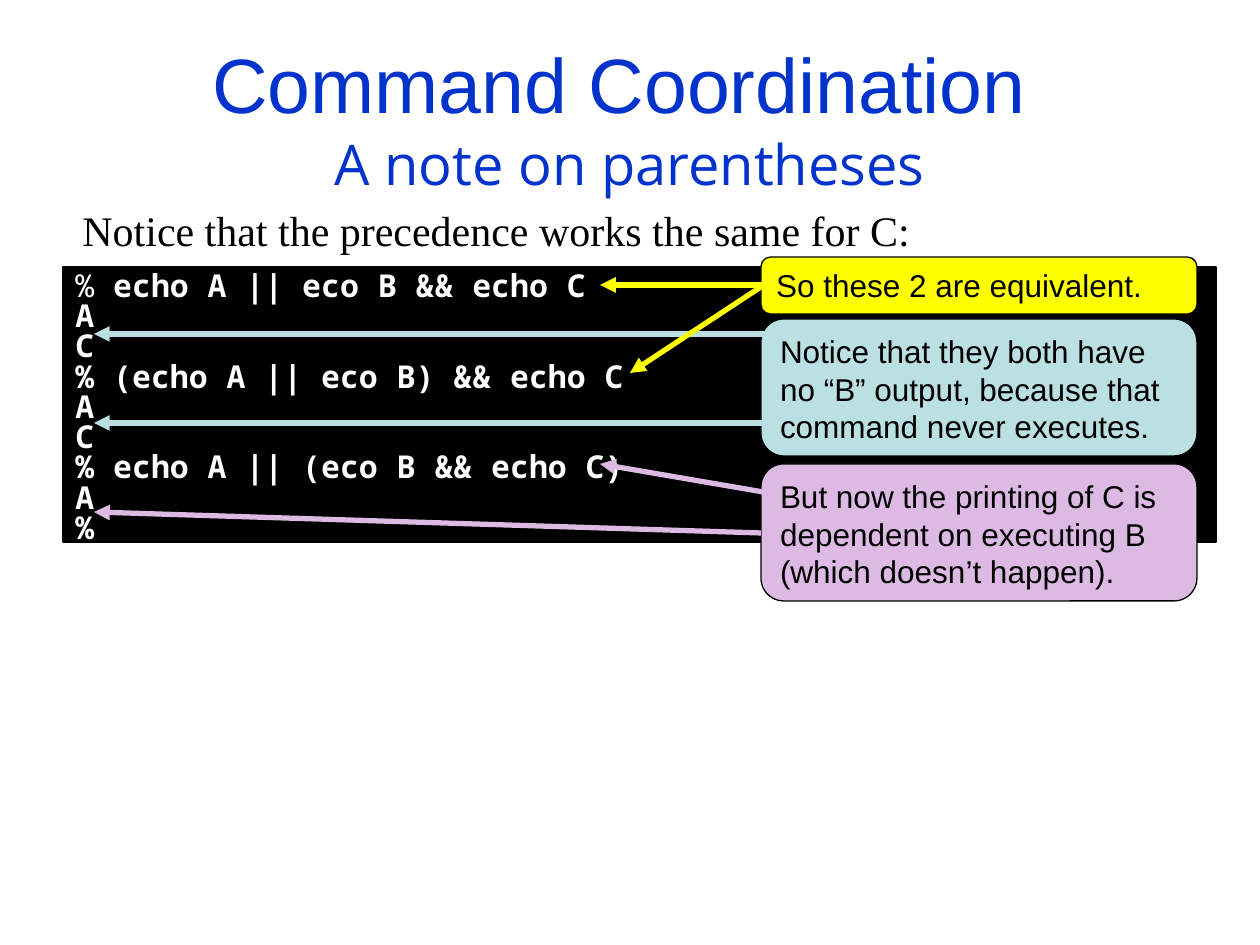
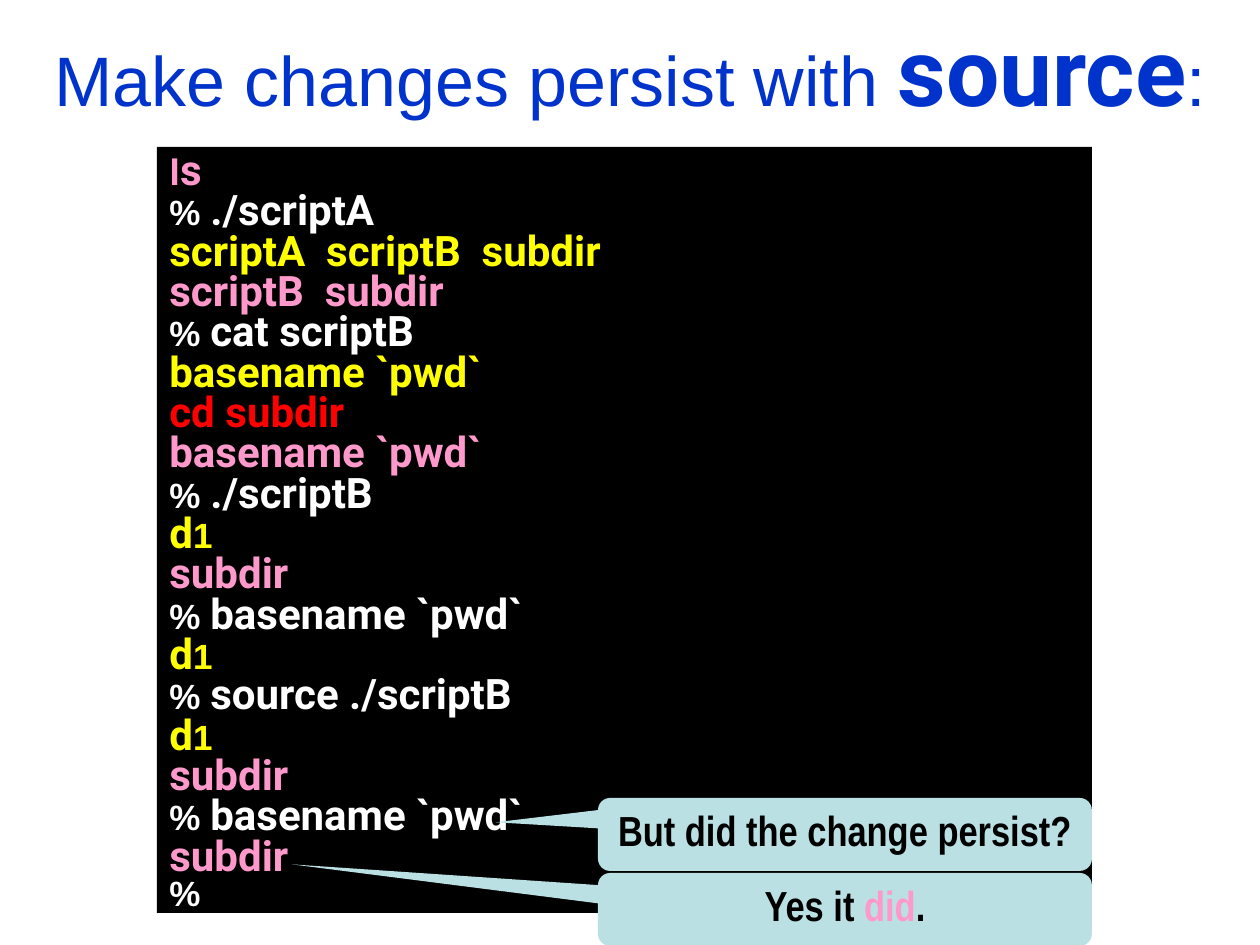
import pptx
import pptx.dml.color
import pptx.enum.shapes
import pptx.enum.text
import pptx.oxml.ns
import pptx.util
import lxml.etree

PX = 914400 // 126
COLORS = {
    "title": "0033CC", "black": "000000", "white": "FFFFFF", "yellow": "FFFF00",
    "pink": "FF99CC", "red": "FF0000", "aqua": "BBE0E3", "lilac": "DDBAE4",
}
SHAPE = pptx.enum.shapes.MSO_SHAPE
ANCHOR = pptx.enum.text.MSO_ANCHOR
LEFT = pptx.enum.text.PP_ALIGN.LEFT
CENTER = pptx.enum.text.PP_ALIGN.CENTER


def rgb(name):
    return pptx.dml.color.RGBColor.from_string(COLORS[name])


def add_box(page, kind, place, fill, lines, spacing=1.0, align=LEFT,
            anchor=ANCHOR.TOP, border=False):
    """Each line is a list of spans: (text, size, font, colour, bold)."""
    place = [value * PX for value in place]
    if kind is None:
        box = page.shapes.add_textbox(*place)
    else:
        box = page.shapes.add_shape(kind, *place)
        box.shadow.inherit = False
        box.fill.solid()
        box.fill.fore_color.rgb = rgb(fill)
        if border:
            box.line.color.rgb = rgb("black")
            box.line.width = pptx.util.Pt(0.75)
        else:
            box.line.fill.background()
    frame = box.text_frame
    frame.word_wrap = True
    frame.vertical_anchor = anchor
    for index, spans in enumerate(lines):
        para = frame.add_paragraph() if index else frame.paragraphs[0]
        para.alignment = align
        para.line_spacing = spacing
        for text, size, font, color, bold in spans:
            span = para.add_run()
            span.text = text
            span.font.size = pptx.util.Pt(size)
            span.font.name = font
            span.font.color.rgb = rgb(color)
            span.font.bold = bold
    return box


deck = pptx.Presentation()
deck.slide_width = 1260 * PX
deck.slide_height = 945 * PX
blank = deck.slide_layouts[6]

# Slide 1: command coordination
page = deck.slides.add_slide(blank)
add_box(page, None, (63, 38, 1134, 157), None, [
    [("Command Coordination ", 44, "Arial", "title", False)],
    [("A note on parentheses", 32, "Open Sans", "title", False)],
], align=CENTER, anchor=ANCHOR.MIDDLE)
intro = add_box(page, None, (70, 204, 1190, 53), None, [
    [("Notice that the precedence works the same for C:",
      24, "Times New Roman", "black", False)],
], spacing=0.9)
intro.text_frame.paragraphs[0].space_before = pptx.util.Pt(4)

# Terminal: only the very first prompt is not bold
terminal_lines = [
    "% echo A || eco B && echo C", "A", "C",
    "% (echo A || eco B) && echo C", "A", "C",
    "% echo A || (eco B && echo C)", "A", "%",
]
terminal = [[(line, 18, "Noto Sans Mono", "white", True)] for line in terminal_lines]
terminal[0] = [("%", 18, "Noto Sans Mono", "white", False),
               (terminal_lines[0][1:], 18, "Noto Sans Mono", "white", True)]
add_box(page, SHAPE.RECTANGLE, (63, 267, 1153, 275), "black", terminal,
        spacing=0.8, border=True)

# Remarks with their arrows: colour, top, height, text, arrows (from x, y to x, y)
remarks = [
    ("lilac", 464, 137,
     "But now the printing of C is dependent on executing B (which doesn’t happen).",
     [(761, 533, 94, 512), (775, 494, 600, 464)]),
    ("aqua", 319, 137,
     "Notice that they both have no “B” output, because that command never executes.",
     [(775, 423, 94, 423), (775, 334, 94, 334)]),
    ("yellow", 257, 57, "So these 2 are equivalent.",
     [(770, 281, 630, 373), (764, 285, 600, 285)]),
]
for color, top, height, text, arrows in remarks:
    add_box(page, SHAPE.FLOWCHART_ALTERNATE_PROCESS, (761, top, 436, height), color,
            [[(text, 18, "Arial", "black", False)]], border=True)
    for ends in arrows:
        arrow = page.shapes.add_connector(
            pptx.enum.shapes.MSO_CONNECTOR.STRAIGHT, *[value * PX for value in ends])
        arrow.line.color.rgb = rgb(color)
        arrow.line.width = pptx.util.Pt(3)
        outline = arrow.line._get_or_add_ln()
        lxml.etree.SubElement(outline, pptx.oxml.ns.qn("a:tailEnd"), type="triangle")
        lxml.etree.SubElement(arrow._element.spPr, pptx.oxml.ns.qn("a:effectLst"))

# Slide 2: source
page = deck.slides.add_slide(blank)
faces = {"code": (24, "Roboto"), "small": (20, "Arial"), "open": (20, "Open Sans")}
prompt = ("% ", "small")
digit = ("1", "small")
session = [
    ("pink", [("l", "open"), ("s", "code")]),
    ("white", [prompt, ("./scriptA", "code")]),
    ("yellow", [("scriptA  scriptB  subdir", "code")]),
    ("pink", [("scriptB  subdir", "code")]),
    ("white", [prompt, ("cat scriptB", "code")]),
    ("yellow", [("basename `pwd`", "code")]),
    ("red", [("cd subdir", "code")]),
    ("pink", [("basename `pwd`", "code")]),
    ("white", [prompt, ("./scriptB", "code")]),
    ("yellow", [("d", "code"), digit]),
    ("pink", [("subdir", "code")]),
    ("white", [prompt, ("basename `pwd`", "code")]),
    ("yellow", [("d", "code"), digit]),
    ("white", [prompt, ("source ./scriptB", "code")]),
    ("yellow", [("d", "code"), digit]),
    ("pink", [("subdir", "code")]),
    ("white", [prompt, ("basename `pwd`", "code")]),
    ("pink", [("subdir", "code")]),
    ("white", [("%", "small")]),
]
terminal = [[(text, *faces[face], color, True) for text, face in spans]
            for color, spans in session]
box = add_box(page, SHAPE.RECTANGLE, (157, 147, 935, 766), "black", terminal, spacing=0.8)
box.text_frame.margin_bottom = 0

add_box(page, None, (0, 21, 1260, 95), None, [[
    ("Make changes persist with ", 40, "Arial", "title", False),
    ("source", 54, "Roboto", "title", True),
    (":", 40, "Arial", "title", False),
]], align=CENTER, anchor=ANCHOR.MIDDLE)

# Callouts: top, pointer tip, coloured words
callouts = [
    (798, (-0.707, -0.166), [("But did the change persist?", "black")]),
    (873, (-1.12, -0.618), [("Yes it ", "black"), ("did", "pink"), (".", "black")]),
]
for top, tip, words in callouts:
    spans = [(text, 24, "Arial Narrow", color, True) for text, color in words]
    callout = add_box(page, SHAPE.ROUNDED_RECTANGULAR_CALLOUT, (598, top, 494, 73),
                      "aqua", [spans], spacing=0.8, align=CENTER, anchor=ANCHOR.MIDDLE)
    callout.text_frame.word_wrap = False
    callout.adjustments[0], callout.adjustments[1] = tip

deck.save("out.pptx")
